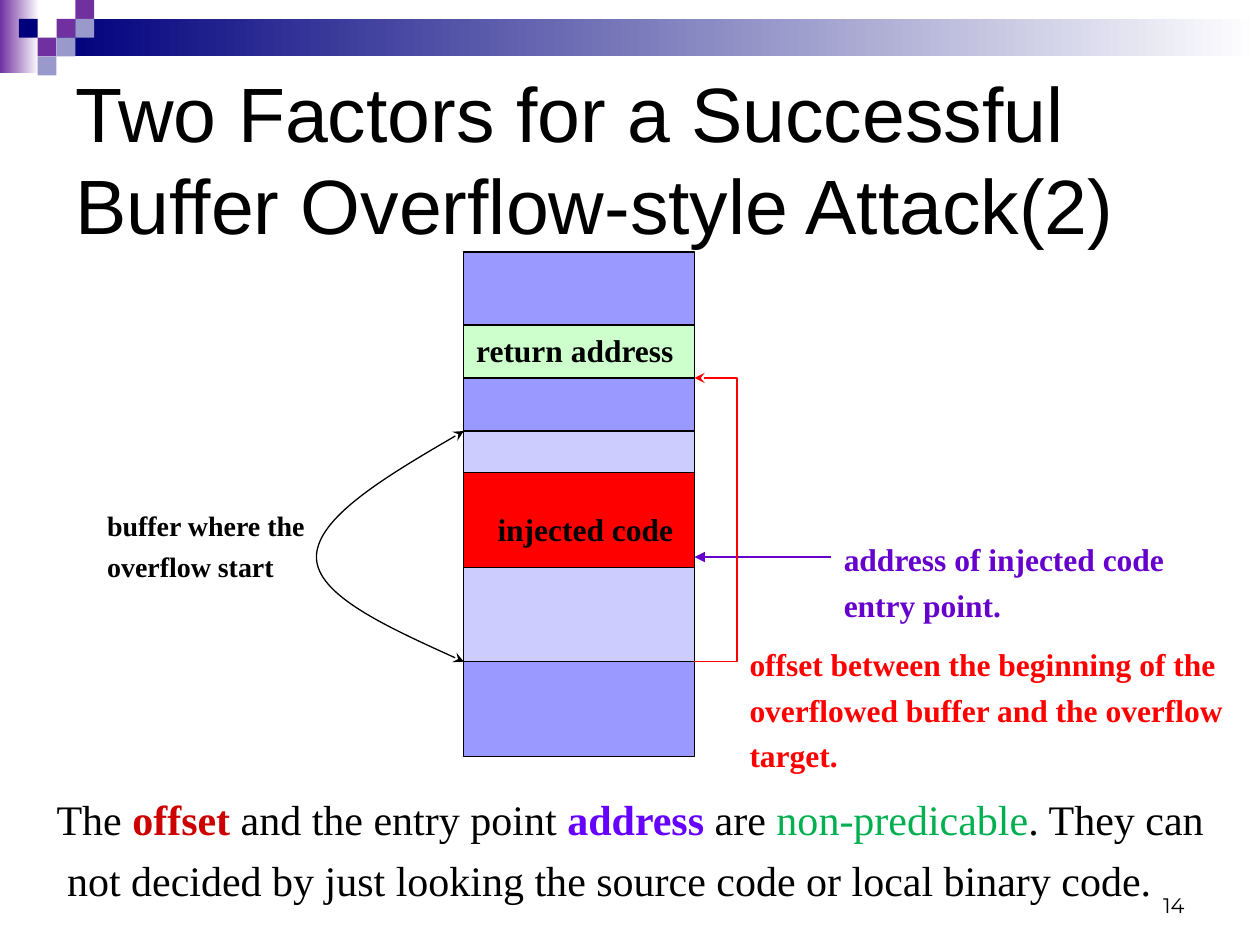
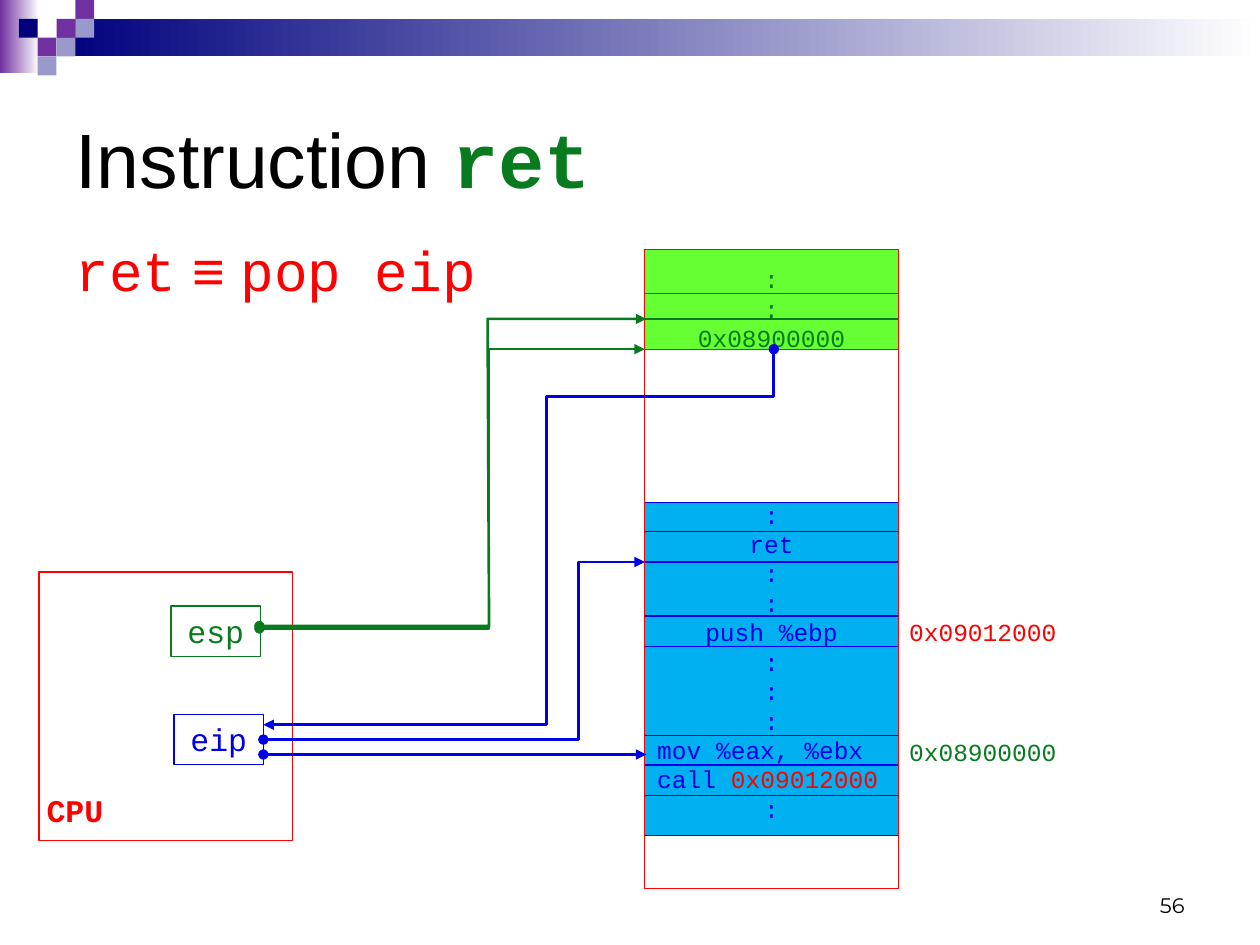
"""Build two slides on buffer overflow attacks and the ret instruction."""
from pptx import Presentation
from pptx.dml.color import RGBColor
from pptx.enum.shapes import MSO_CONNECTOR as CONNECTOR, MSO_SHAPE as SHAPE
from pptx.enum.text import MSO_ANCHOR as ANCHOR, MSO_AUTO_SIZE as AUTO_SIZE, PP_ALIGN as ALIGN
from pptx.oxml.ns import qn
from pptx.util import Cm, Pt
from lxml.etree import SubElement

BLACK = RGBColor(0x00, 0x00, 0x00)
WHITE = RGBColor(0xFF, 0xFF, 0xFF)
RED = RGBColor(0xFF, 0x00, 0x00)
DARK_RED = RGBColor(0xCC, 0x00, 0x00)
PURPLE = RGBColor(0x70, 0x30, 0xA0)
NAVY = RGBColor(0x00, 0x00, 0x7D)
LAVENDER = RGBColor(0x99, 0x99, 0xCC)
STACK_BLUE = RGBColor(0x99, 0x99, 0xFF)
BUFFER_BLUE = RGBColor(0xCC, 0xCC, 0xFF)
PALE_GREEN = RGBColor(0xCC, 0xFF, 0xCC)
VIOLET = RGBColor(0x66, 0x00, 0xCC)
BRIGHT_VIOLET = RGBColor(0x66, 0x00, 0xFF)
GREEN = RGBColor(0x00, 0xB0, 0x50)
CODE_GREEN = RGBColor(0x07, 0x7B, 0x1D)
CODE_BLUE = RGBColor(0x00, 0x00, 0xE6)
SKY = RGBColor(0x00, 0xB0, 0xF0)
LIME = RGBColor(0x66, 0xFF, 0x33)

TITLE = {"size": Pt(44), "name": "Arial", "color": BLACK}
NUMBER = {"size": Pt(12), "name": "Montserrat", "color": BLACK}
LABEL = {"size": Pt(18), "name": "Times New Roman", "color": BLACK, "bold": True}
SUMMARY = {"size": Pt(24), "name": "Times New Roman", "color": BLACK}
CODE = {"size": Pt(14), "name": "Courier New", "color": CODE_BLUE}
REGISTER = {**CODE, "size": Pt(18)}


def style_shape(shape, color=None, width=0.75, fill=None, head=None, tail=None):
    """Set fill, outline and arrowheads, and drop the shadow."""
    if fill is not None:
        shape.fill.solid()
        shape.fill.fore_color.rgb = fill
    elif hasattr(shape, "fill"):
        shape.fill.background()
    if color is None:
        shape.line.fill.background()
    else:
        shape.line.color.rgb = color
        shape.line.width = Pt(width)
    for end, kind in (("a:headEnd", head), ("a:tailEnd", tail)):
        if kind:
            SubElement(shape.line._get_or_add_ln(), qn(end)).set("type", kind)
    SubElement(shape._element.spPr, qn("a:effectLst"))


def write(frame, lines, look, align=ALIGN.LEFT, gap=0, wrap=True, anchor=ANCHOR.TOP):
    """Fill a text frame with paragraphs, each a list of (text, changes) runs."""
    frame.word_wrap = wrap
    frame.auto_size = AUTO_SIZE.NONE if wrap else AUTO_SIZE.SHAPE_TO_FIT_TEXT
    frame.vertical_anchor = anchor
    for index, runs in enumerate(lines):
        paragraph = frame.add_paragraph() if index else frame.paragraphs[0]
        paragraph.alignment = align
        paragraph.line_spacing = Pt(1.2 * look["size"].pt)
        paragraph.space_before = Pt(gap if index else 0)
        for text, changes in runs:
            run = paragraph.add_run()
            run.text = text
            for key, value in {**look, **changes}.items():
                if key == "color":
                    run.font.color.rgb = value
                else:
                    setattr(run.font, key, value)


presentation = Presentation()
presentation.slide_width, presentation.slide_height = Cm(25.4), Cm(19.05)
attack_slide = presentation.slides.add_slide(presentation.slide_layouts[5])
ret_slide = presentation.slides.add_slide(presentation.slide_layouts[1])

SQUARE = 0.38
decorations = [
    (0, 0, 0.79, 1.47, PURPLE, True),
    (3 * SQUARE, SQUARE, 24.26, 2 * SQUARE, NAVY, True),
]
for column, row, color in [
    (3, 1, PURPLE), (4, 0, PURPLE), (4, 1, LAVENDER), (2, 2, PURPLE),
    (1, 1, NAVY), (3, 2, LAVENDER), (2, 3, LAVENDER),
]:
    decorations.append((column * SQUARE, row * SQUARE, SQUARE, SQUARE, color, False))
for left, top, width, height, color, fades in decorations:
    shape = attack_slide.shapes.add_shape(SHAPE.RECTANGLE, Cm(left), Cm(top), Cm(width), Cm(height))
    style_shape(shape, fill=color)
    if fades:
        shape.fill.gradient()
        shape.fill.gradient_angle = 0
        for stop, stop_color in zip(shape.fill.gradient_stops, (color, WHITE)):
            stop.color.rgb = stop_color
    presentation.slide_master.shapes._spTree.append(shape._element)

for slide, number, title_runs in [
    (attack_slide, "14", [("Two Factors for a Successful Buffer Overflow-style Attack(2)", {})]),
    (ret_slide, "56", [("Instruction ", {}),
                       ("ret", {"name": "Courier New", "color": CODE_GREEN, "bold": True})]),
]:
    title = slide.shapes.title
    title.left, title.top, title.width, title.height = Cm(1.27), Cm(1.27), Cm(22.86), Cm(3.81)
    write(title.text_frame, [title_runs], TITLE, anchor=ANCHOR.MIDDLE)
    box = slide.shapes.add_textbox(Cm(18.21), Cm(17.35), Cm(5.92), Cm(1.27))
    write(box.text_frame, [[(number, {})]], NUMBER, ALIGN.RIGHT, anchor=ANCHOR.BOTTOM)

STACK_LEFT, STACK_WIDTH = 9.35, 4.65
STACK_RIGHT = STACK_LEFT + STACK_WIDTH
for top, height, fill in [
    (5.08, 1.47, STACK_BLUE), (8.69, 4.65, BUFFER_BLUE), (13.34, 1.91, STACK_BLUE),
    (9.53, 1.91, RED), (7.62, 1.07, STACK_BLUE), (6.55, 1.07, PALE_GREEN),
]:
    block = attack_slide.shapes.add_shape(
        SHAPE.RECTANGLE, Cm(STACK_LEFT), Cm(top), Cm(STACK_WIDTH), Cm(height))
    style_shape(block, BLACK, fill=fill)

for left, top, width, height, lines, changes in [
    (1.91, 10.13, 4.6, 1.75, ["buffer where the", "overflow start"], {"size": Pt(16)}),
    (9.78, 10.16, 4.2, 1.02, ["injected code"], {}),
    (9.35, 6.55, 4.6, 1.02, ["return address"], {}),
    (14.86, 12.88, 10.3, 2.87, ["offset between the beginning of the",
                                "overflowed buffer and the overflow", "target."], {"color": RED}),
    (16.76, 10.77, 7.1, 1.96, ["address of injected code", "entry point."], {"color": VIOLET}),
]:
    look = {**LABEL, **changes}
    box = attack_slide.shapes.add_textbox(Cm(left), Cm(top), Cm(width), Cm(height))
    write(box.text_frame, [[(line, {})] for line in lines], look,
          gap=look["size"].pt / 4, wrap=False)

buffer_curve = [(9.35, 8.69), (7.87, 9.55), (6.38, 10.44), (6.38, 11.23),
                (6.38, 11.99), (7.87, 12.67), (9.35, 13.34)]
offset_route = [(STACK_RIGHT, 13.34), (14.86, 13.34), (14.86, 7.62), (STACK_RIGHT, 7.62)]
esp_before = [(5.23, 12.67), (9.86, 12.67), (9.86, 7.04), (13, 7.04)]
eip_at_ret = [(5.31, 14.91), (11.66, 14.91), (11.66, 11.33), (13, 11.33)]
popped_address = [(15.6, 7.04), (15.6, 8), (11.02, 8), (11.02, 14.61), (5.31, 14.61)]
esp_after = [(5.23, 12.62), (9.86, 12.62), (9.83, 6.43), (13.03, 6.43)]

arrow = attack_slide.shapes.add_connector(
    CONNECTOR.STRAIGHT, Cm(16.76), Cm(11.23), Cm(STACK_RIGHT), Cm(11.23))
style_shape(arrow, VIOLET, tail="triangle")

box = attack_slide.shapes.add_textbox(Cm(0.89), Cm(15.88), Cm(24.49), Cm(2.51))
write(box.text_frame, [
    [("The ", {}), ("offset", {"color": DARK_RED, "bold": True}), (" and the entry point ", {}),
     ("address", {"color": BRIGHT_VIOLET, "bold": True}), (" are ", {}),
     ("non-predicable", {"color": GREEN}), (". They can", {})],
    [("not decided by just looking the source code or local binary code.", {})],
], SUMMARY, gap=6)
box.text_frame.paragraphs[1]._p.get_or_add_pPr().set("marL", str(Pt(6)))

body = ret_slide.placeholders[1]
body.left, body.top, body.width, body.height = Cm(1.27), Cm(4.62), Cm(22.86), Cm(2.01)
properties = body.text_frame.paragraphs[0]._p.get_or_add_pPr()
for key in ("marL", "indent"):
    properties.set(key, "0")
SubElement(properties, qn("a:buNone"))
write(body.text_frame, [[("ret", {}), (" ≡ ", {"name": "Arial"}), ("pop eip", {})]],
      {**CODE, "size": Pt(32), "color": RED})

MEMORY_LEFT, MEMORY_WIDTH = 13, 5.11
memory_lines = [[(text, {"color": CODE_GREEN})] for text in (":", ":", "0x08900000")]
memory_lines += [[(text, {})] for text in
                 (":", "ret", ":", ":", "push %ebp", ":", ":", ":", "mov %eax, %ebx")]
memory_lines += [[("call ", {}), ("0x09012000", {"color": RED})], [(":", {})]]

for left, top, width, height, color, fill, lines, look in [
    (MEMORY_LEFT, 10.13, MEMORY_WIDTH, 6.71, None, SKY, [], CODE),
    (MEMORY_LEFT, 5.03, MEMORY_WIDTH, 2.01, None, LIME, [], CODE),
    (3.51, 14.4, 1.8, 1.02, CODE_BLUE, None, [[("eip", {})]], REGISTER),
    (3.45, 12.22, 1.8, 1.02, CODE_GREEN, None, [[("esp", {"color": CODE_GREEN})]], REGISTER),
    (0.79, 11.53, 5.11, 5.41, RED, None, [], CODE),
    (MEMORY_LEFT, 5.03, MEMORY_WIDTH, 12.88, RED, None, memory_lines, CODE),
]:
    shape = ret_slide.shapes.add_shape(SHAPE.RECTANGLE, Cm(left), Cm(top), Cm(width), Cm(height))
    style_shape(shape, color, fill=fill)
    write(shape.text_frame, lines, look, ALIGN.CENTER)

memory_frame = shape.text_frame
memory_frame.margin_top = Cm(0.3)
memory_frame.paragraphs[3].space_before = Pt(84)
for paragraph in memory_frame.paragraphs[11:13]:
    paragraph.alignment = ALIGN.LEFT

for left, top, width, height, text, look in [
    (0.61, 15.82, 1.8, 1.02, "CPU", {**REGISTER, "color": RED, "bold": True}),
    (18.01, 14.73, 3.61, 0.86, "0x08900000", {**CODE, "color": CODE_GREEN}),
    (18.01, 12.32, 3.61, 0.86, "0x09012000", {**CODE, "color": RED}),
]:
    box = ret_slide.shapes.add_textbox(Cm(left), Cm(top), Cm(width), Cm(height))
    write(box.text_frame, [[(text, {})]], look, ALIGN.CENTER)

for color, tops in [
    (CODE_BLUE, (10.13, 10.72, 11.33, 12.42, 13.03, 14.83, 15.42, 16.03, 16.84)),
    (CODE_GREEN, (5.92, 6.43, 7.04)),
]:
    for top in tops:
        divider = ret_slide.shapes.add_connector(
            CONNECTOR.STRAIGHT, Cm(MEMORY_LEFT), Cm(top), Cm(MEMORY_LEFT + MEMORY_WIDTH), Cm(top))
        style_shape(divider, color)

for slide, points, color, width, head, tail in [
    (attack_slide, buffer_curve, BLACK, 0.75, "stealth", "stealth"),
    (attack_slide, offset_route, RED, 0.75, None, "stealth"),
    (ret_slide, esp_before, CODE_GREEN, 1.5, "oval", "triangle"),
    (ret_slide, eip_at_ret, CODE_BLUE, 1.5, "oval", "triangle"),
    (ret_slide, popped_address, CODE_BLUE, 1.5, "oval", "triangle"),
    (ret_slide, esp_after, CODE_GREEN, 1.5, "oval", "triangle"),
]:
    corners = [(Cm(x), Cm(y)) for x, y in points]
    builder = slide.shapes.build_freeform(*corners[0])
    builder.add_line_segments(corners[1:], close=False)
    route = builder.convert_to_shape()
    style_shape(route, color, width, head=head, tail=tail)
    if points is buffer_curve:
        segments = list(route._element.iter(qn("a:lnTo")))
        outline = segments[0].getparent()
        for start in range(0, len(segments), 3):
            curve = SubElement(outline, qn("a:cubicBezTo"))
            for segment in segments[start:start + 3]:
                curve.append(segment[0])
                outline.remove(segment)

arrow = ret_slide.shapes.add_connector(
    CONNECTOR.STRAIGHT, Cm(5.31), Cm(15.21), Cm(13.03), Cm(15.21))
style_shape(arrow, CODE_BLUE, 1.5, head="oval", tail="triangle")

presentation.save("out.pptx")
